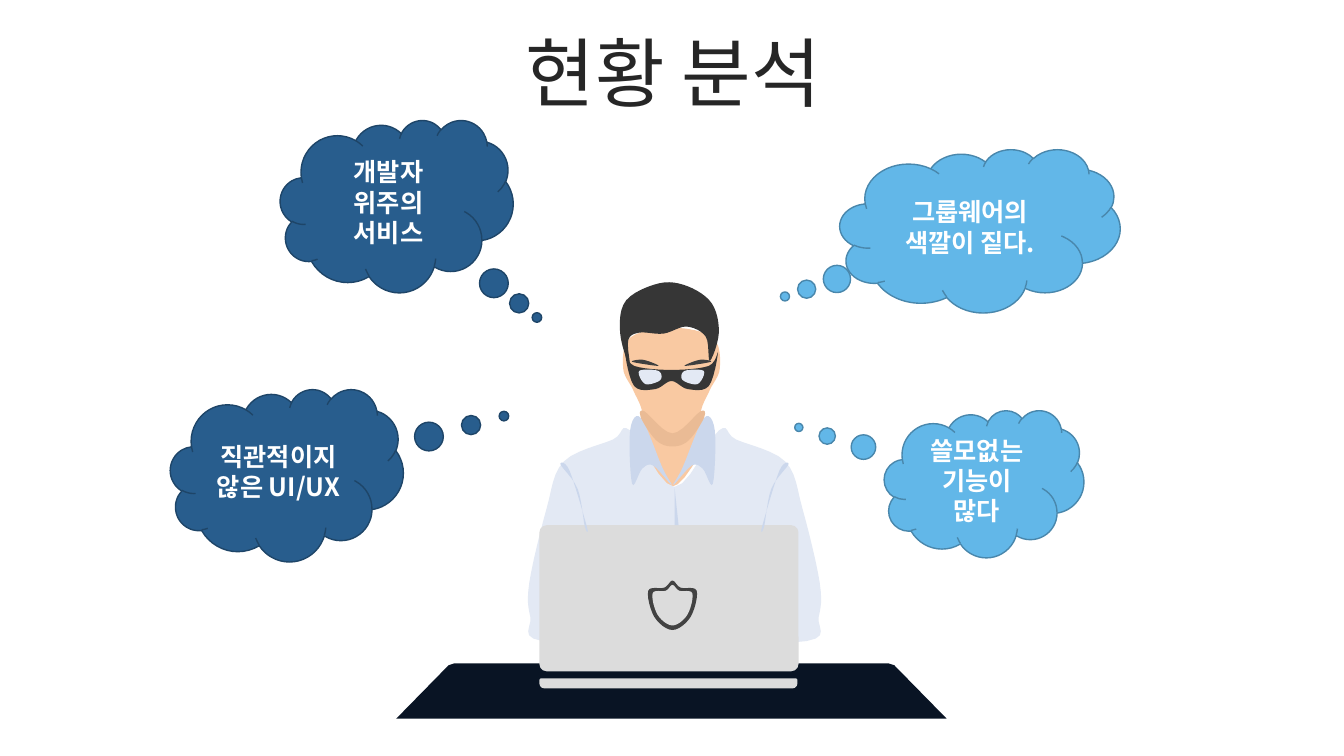
import pptx
import pptx.util
import pptx.dml.color
import pptx.enum.shapes
import pptx.enum.text
import pptx.oxml

PX = 9144
STEPS = 6
RGB = pptx.dml.color.RGBColor
KIND = pptx.enum.shapes.MSO_SHAPE
INK = RGB(0x26, 0x26, 0x26)
WHITE = RGB(0xFF, 0xFF, 0xFF)
NAVY = RGB(0x28, 0x5D, 0x8D)
NAVY_RIM = RGB(0x1E, 0x45, 0x68)
SKY = RGB(0x62, 0xB7, 0xE8)
SKY_RIM = RGB(0x49, 0x87, 0xAC)
DESK = RGB(0x09, 0x14, 0x24)
SKIN = RGB(0xF9, 0xC9, 0xA2)
CHIN = RGB(0xEA, 0xBB, 0x95)
HAIR = RGB(0x36, 0x36, 0x36)
BROW = RGB(0x3F, 0x3F, 0x3F)
CREST = RGB(0x42, 0x42, 0x42)
SHIRT = RGB(0xE3, 0xE9, 0xF4)
FOLD = RGB(0xCB, 0xD7, 0xEC)
METAL = RGB(0xDC, 0xDC, 0xDC)
HANGUL = "Noto Sans CJK KR"
HEAD, NECK, CHEST = 146, 147, 149

FACE = [(146, 45), (105, 55), (98, 85), (108, 107), (117, 130), (111, 155), (146, 203)]
CROWN = [(105, 85), (103, 58), (114, 50), (138, 51), (161, 44), (180, 54), (184, 78),
         (193, 50), (186, 21), (162, 4), (134, 1), (101, 18), (95, 50)]
FRAME = [(146, 87), (109, 83), (100, 70), (109, 103), (130, 106), (146, 98)]
LENS = [(114, 88), (133, 88), (135, 97), (120, 101)]
FROWN = [(107, 79), (133, 83), (118, 77)]
TORSO = [(149, 203), (105, 147), (88, 156), (39, 178), (22, 225), (5, 298), (6, 332),
         (18, 356), (149, 356)]
COLLAR = [(116, 135), (137, 184), (146, 201), (128, 182), (117, 185), (107, 200), (105, 147)]
SLEEVE = [(36, 181), (45, 187), (62, 242), (60, 242), (53, 205)]
PLACKET = [(149, 203), (153, 241), (149, 241)]
SHADE = [(147, 150), (119, 128), (116, 135), (131, 157), (147, 163)]
SHIELD = [(147, 296), (139, 303), (123, 306), (129, 332), (147, 345)]
BADGE = [(147 + (x - 147) * 0.82, 320 + (y - 320) * 0.82) for x, y in SHIELD]

CLOUDS = [
    ((833, 148, 278, 162), (-0.696, 0.402), SKY, SKY_RIM, "그룹웨어의\v색깔이 짙다."),
    ((169, 386, 231, 171), (0.932, -0.343), NAVY, NAVY_RIM, "직관적이지\v않은 UI/UX"),
    ((278, 119, 231, 171), (0.602, 0.646), NAVY, NAVY_RIM, "개발자\v위주의\v서비스"),
    ((877, 407, 198, 146), (-0.928, -0.383), SKY, SKY_RIM, "쓸모없는\v기능이\v많다"),
]


def paint(shape, fill, rim=None):
    shape.shadow.inherit = False
    shape.fill.solid()
    shape.fill.fore_color.rgb = fill
    if rim is None:
        shape.line.fill.background()
    else:
        shape.line.color.rgb = rim
        shape.line.width = pptx.util.Pt(1)


def flip(dots, axis):
    return [(2 * axis - x, y) for x, y in reversed(dots)]


def twin(dots, axis):
    return dots + flip([dot for dot in dots if dot[0] != axis], axis)


def bend(knots):
    dots = []
    for i in range(len(knots)):
        near = [knots[(i + k) % len(knots)] for k in (-1, 0, 1, 2)]
        for step in range(STEPS):
            t = step / STEPS
            dots.append(tuple(
                q + t * ((r - p) + t * ((2 * p - 5 * q + 4 * r - s) + t * (3 * q - p - 3 * r + s))) / 2
                for p, q, r, s in zip(*near)))
    return dots


def trace(slide, box, fill, dots):
    spots = [((box[0] + x) * PX, (box[1] + y) * PX) for x, y in dots]
    pen = slide.shapes.build_freeform(*spots[0], scale=1.0)
    pen.add_line_segments(spots[1:], close=True)
    paint(pen.convert_to_shape(), fill)


def write(shape, text, face, look, tint):
    frame = shape.text_frame
    frame.word_wrap = True
    frame.vertical_anchor = pptx.enum.text.MSO_ANCHOR.MIDDLE
    para = frame.paragraphs[0]
    para.text = text
    para.alignment = pptx.enum.text.PP_ALIGN.CENTER
    for run in para.runs:
        for name, value in look.items():
            setattr(run.font, name, value)
        run.font.name = face
        run.font.color.rgb = tint
        east = pptx.oxml.parse_xml(
            '<a:ea xmlns:a="http://schemas.openxmlformats.org/drawingml/2006/main" '
            f'typeface="{HANGUL}"/>')
        run.font._element.find(pptx.oxml.ns.qn("a:latin")).addnext(east)
    return para


def add_title(slide, box):
    label = slide.shapes.add_textbox(*(n * PX for n in box))
    para = write(label, "현황 분석", "Arial", {"size": pptx.util.Pt(54)}, INK)
    para.line_spacing = 0.9
    para.space_before = pptx.util.Pt(10)


def add_block(slide, box, kind, bends):
    block = slide.shapes.add_shape(kind, *(n * PX for n in box))
    for i, value in enumerate(bends):
        block.adjustments[i] = value
    return block


def add_desk(slide, box):
    wide, high = box[2:]
    trace(slide, box, DESK, twin([(0, high), (52, 2), (58, 0)], wide / 2))


def add_man(slide, box):
    left, top = box[:2]
    for fill, knots in [(SKIN, twin(FACE, HEAD)), (HAIR, CROWN),
                        (HAIR, twin(FRAME, HEAD)), (SHIRT, twin(TORSO, CHEST))]:
        trace(slide, box, fill, bend(knots))
    lid = add_block(slide, (left + 15, top + 241, 257, 145), KIND.ROUNDED_RECTANGLE, [0.05])
    paint(lid, METAL)
    trace(slide, box, FOLD, PLACKET)
    for fill, knots, axis in [(FOLD, SLEEVE, CHEST), (FOLD, COLLAR, NECK),
                              (SHIRT, LENS, HEAD), (BROW, FROWN, HEAD)]:
        for side in (knots, flip(knots, axis)):
            trace(slide, box, fill, bend(side))
    for fill, knots in [(CHIN, SHADE), (CREST, SHIELD), (METAL, BADGE)]:
        trace(slide, box, fill, bend(twin(knots, NECK)))
    base = add_block(slide, (left + 15, top + 393, 256, 10), KIND.ROUND_2_SAME_RECTANGLE, [0.2, 0.5])
    paint(base, METAL)


def add_cloud(slide, box, tail, fill, rim, text):
    cloud = add_block(slide, box, KIND.CLOUD_CALLOUT, tail)
    paint(cloud, fill, rim)
    write(cloud, text, HANGUL, {"size": pptx.util.Pt(18), "bold": True}, WHITE)


def main():
    deck = pptx.Presentation()
    deck.slide_width, deck.slide_height = 1333 * PX, 750 * PX
    slide = deck.slides.add_slide(deck.slide_layouts[6])
    add_title(slide, (35, 37, 1266, 79))
    add_desk(slide, (393, 658, 546, 55))
    add_man(slide, (520, 280, 298, 403))
    for cloud in CLOUDS:
        add_cloud(slide, *cloud)
    deck.save("out.pptx")


if __name__ == "__main__":
    main()
